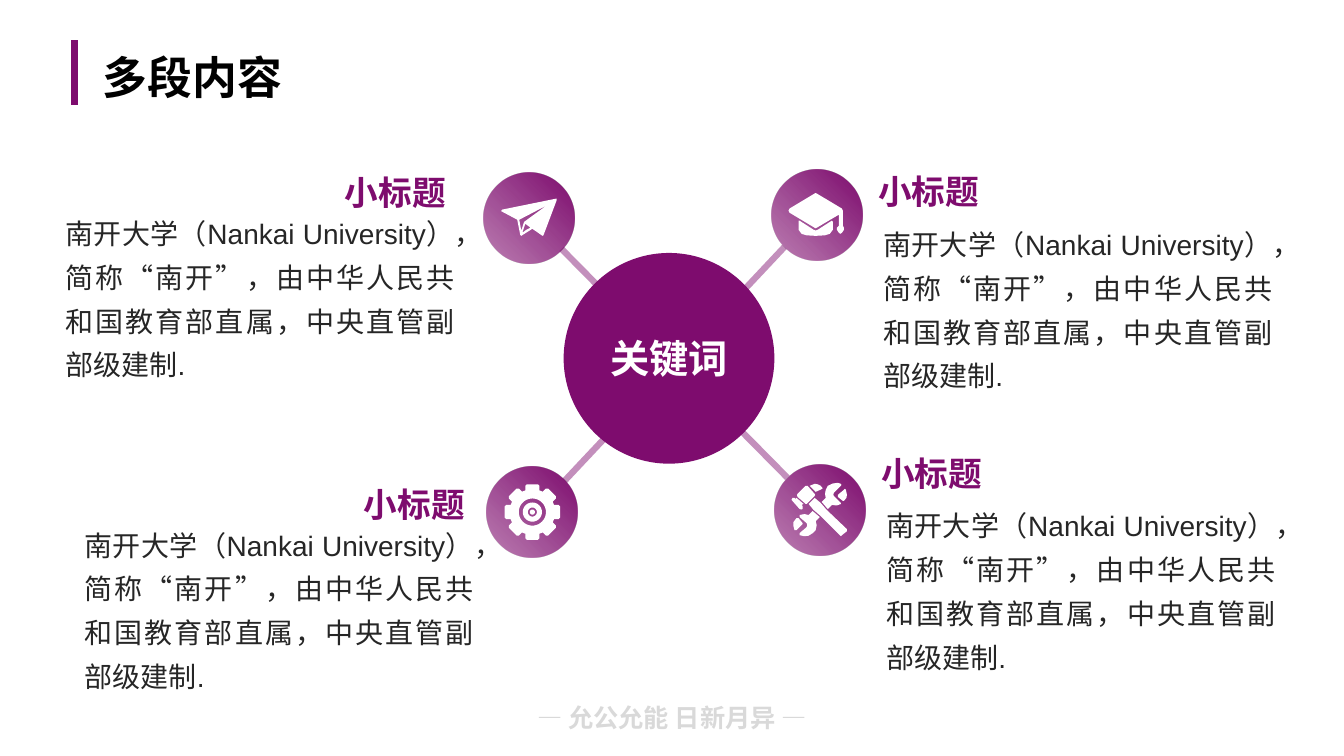
from dataclasses import dataclass
from math import cos, pi, sin

from lxml import etree
from pptx import Presentation
from pptx.dml.color import RGBColor
from pptx.enum.shapes import MSO_CONNECTOR, MSO_SHAPE
from pptx.enum.text import MSO_ANCHOR, MSO_AUTO_SIZE, PP_ALIGN
from pptx.oxml.ns import qn
from pptx.util import Inches, Pt

LINE = MSO_CONNECTOR.STRAIGHT
OVAL = MSO_SHAPE.OVAL
MIDDLE, TOP = MSO_ANCHOR.MIDDLE, MSO_ANCHOR.TOP
GROW = MSO_AUTO_SIZE.SHAPE_TO_FIT_TEXT
LEFT, CENTER, RIGHT, JUST = PP_ALIGN.LEFT, PP_ALIGN.CENTER, PP_ALIGN.RIGHT, PP_ALIGN.JUSTIFY


@dataclass(frozen=True)
class Theme:
    plum: RGBColor = RGBColor(0x7E, 0x0C, 0x6E)
    white: RGBColor = RGBColor(0xFF, 0xFF, 0xFF)
    black: RGBColor = RGBColor(0, 0, 0)
    ink: RGBColor = RGBColor(0x26, 0x26, 0x26)
    pale: RGBColor = RGBColor(0xD9, 0xD9, 0xD9)
    title: int = 32
    hub: int = 28
    head: int = 24
    body: int = 20
    foot: int = 18
    rule: float = 4.5
    main: str = "Calibri"
    text: str = "Arial"
    asian: str = "Noto Sans CJK JP"


THEME = Theme()
DISC = 0.9
HEAD = "小标题"
BODY = "南开大学（Nankai University），简称“南开”，由中华人民共和国教育部直属，中央直管副部级建制."

# Icon outlines, in hundredths of an inch from the corner of the disc
PLANE = [
    [(72, 26), (18, 37), (17, 38.5), (18, 39), (33, 47), (36, 62), (37, 63), (48, 56),
     (58, 63), (59, 62.5), (72, 28)],
    [(62, 33), (40, 49), (39.5, 50), (37, 58), (35, 47)],
    [(38, 60), (41, 51), (45, 54), (46, 55), (42, 57)],
]
CAP = [
    [(27, 51), (28, 51), (42, 60), (44, 60.7), (46, 60), (60, 51), (61, 52), (61, 60),
     (58, 64), (53, 65.5), (44, 66), (35, 65.5), (30, 64), (27, 60)],
    [(43, 24), (44, 23.5), (45, 24), (70, 39), (71, 41), (71, 56), (72, 58), (72, 60),
     (70, 63), (68.5, 64), (67, 63), (65, 60), (65, 58), (67, 56), (67, 45), (45, 58),
     (44, 58.5), (43, 58), (18, 43), (17, 41), (18, 39)],
]
TOOLS = [
    [(23, 53), (24, 53), (28, 58), (28, 59), (22, 65), (20, 65), (19, 61), (19, 57), (22, 53)],
    [(38, 46), (45, 52), (41, 56), (42, 60), (41, 65), (38, 68), (34, 70.5), (30, 71),
     (25, 70), (25, 68), (32, 62), (32.7, 60), (32, 58), (25, 52), (25, 50), (30, 49), (34, 50)],
    [(40, 33), (46, 38), (52, 45), (72, 64), (72, 66), (67, 70), (66, 71), (65, 70),
     (46, 51), (39, 45), (34, 39)],
    [(22, 33), (29, 39), (27, 40), (28, 41), (28, 44), (26.5, 44.5), (25, 44), (18, 36),
     (17, 35), (18, 33), (20, 33), (21, 34)],
    [(70, 24), (71, 25), (72, 30), (71.5, 33), (69, 36), (68, 36), (63, 32), (63, 30), (69, 25)],
    [(31, 21), (33, 21), (40, 29), (40.5, 30), (40, 31), (33, 38), (32, 39), (31, 39),
     (30, 38), (23, 32), (22.5, 30), (23, 29)],
    [(40, 19), (43, 19.5), (46, 21), (48, 23.5), (46.5, 24.5), (41, 27), (35, 21)],
    [(63, 18), (66, 19), (66.5, 20), (66, 21), (59, 28), (58.5, 29.5), (59, 31), (66, 38),
     (66, 39), (62, 40.5), (57, 40), (53, 44), (47, 37), (51, 33), (50.3, 29), (51, 25),
     (53, 21), (58, 18.7)],
]


def gear(mid=45, teeth=8, sides=40):
    """Outline of a toothed wheel with rings cut into it."""
    tooth = [(21.5, -7), (26, -7), (27.5, -5.5), (27.5, 5.5), (26, 7), (21.5, 7)]

    def turn(along, off, angle):
        return (mid + along * cos(angle) - off * sin(angle),
                mid + along * sin(angle) + off * cos(angle))

    rim = [turn(a, b, 2 * pi * n / teeth) for n in range(teeth) for a, b in tooth]
    rings = [[turn(r, 0, 2 * pi * n / sides) for n in range(sides)] for r in (13.5, 9.5, 4.5, 2.5)]
    return [rim, *rings]


def fade(color, percent):
    etree.SubElement(color, qn("a:alpha")).set("val", str(percent * 1000))


def paint(shape, color):
    shape.shadow.inherit = False
    shape.line.fill.background()
    shape.fill.solid()
    shape.fill.fore_color.rgb = color


def write(shape, text, size, color, font, bold=True, align=LEFT, anchor=TOP, wrap=True, pad=None):
    frame = shape.text_frame
    frame.word_wrap = wrap
    frame.vertical_anchor = anchor
    if pad is not None:
        frame.margin_left = frame.margin_right = Inches(pad)
        frame.margin_top = frame.margin_bottom = Inches(pad)
    para = frame.paragraphs[0]
    para.alignment = align
    run = para.add_run()
    run.text = text
    run.font.size, run.font.bold, run.font.name = Pt(size), bold, font
    run.font.color.rgb = color
    etree.SubElement(run.font._element, qn("a:ea")).set("typeface", THEME.asian)
    return para


def add_box(slide, *box):
    return slide.shapes.add_textbox(*map(Inches, box))


def add_line(slide, ends, alpha=None):
    line = slide.shapes.add_connector(LINE, *map(Inches, ends))
    line.line.color.rgb = THEME.plum
    line.line.width = Pt(THEME.rule)
    etree.SubElement(line._element.spPr, qn("a:effectLst"))
    if alpha:
        fade(next(line._element.iter(qn("a:srgbClr"))), alpha)


def add_title(slide, x, y):
    add_line(slide, (x, y, x, y + 0.64))
    box = add_box(slide, x + 0.18, y - 0.08, 5.75, 0.95)
    para = write(box, "多段内容", THEME.title, THEME.black, THEME.main, anchor=MIDDLE)
    para.line_spacing = 0.9


def add_foot(slide, x, y):
    box = add_box(slide, x, y, 4.19, 0.4)
    write(box, "— 允公允能 日新月异 —", THEME.foot, THEME.pale, THEME.asian, align=CENTER)


def add_hub(slide, x, y, size):
    hub = slide.shapes.add_shape(OVAL, *map(Inches, (x, y, size, size)))
    paint(hub, THEME.plum)
    write(hub, "关键词", THEME.hub, THEME.white, THEME.main, align=CENTER, anchor=MIDDLE)


def add_disc(slide, x, y, icon):
    disc = slide.shapes.add_shape(OVAL, *map(Inches, (x, y, DISC, DISC)))
    paint(disc, THEME.plum)
    disc.fill.gradient()
    disc.fill.gradient_angle = 225
    for stop, place in zip(disc.fill.gradient_stops, (0, 0.95)):
        stop.color.rgb = THEME.plum
        stop.position = place
    fade(list(disc._element.spPr.iter(qn("a:srgbClr")))[-1], 54)

    paths = [[(px * 10, py * 10) for px, py in path] for path in icon]
    pen = slide.shapes.build_freeform(*paths[0][0], scale=Inches(1) / 1000)
    for path in paths:
        if path is not paths[0]:
            pen.move_to(*path[0])
        pen.add_line_segments(path[1:], close=True)
    paint(pen.convert_to_shape(Inches(x), Inches(y)), THEME.white)


def add_note(slide, x, y, dx, dy):
    """Heading at x, y with its body text shifted by dx, dy."""
    head = add_box(slide, x, y, 1.54, 0.63)
    write(head, HEAD, THEME.head, THEME.plum, THEME.text, align=RIGHT, wrap=False, pad=0.2)
    body = add_box(slide, x + dx, y + dy, 4.06, 1.81)
    para = write(body, BODY, THEME.body, THEME.ink, THEME.text, bold=False, align=JUST)
    para.line_spacing = 1.3
    para.space_after = Pt(6)
    body.text_frame.auto_size = GROW


def main():
    deck = Presentation()
    deck.slide_width, deck.slide_height = Inches(13.33), Inches(7.5)
    slide = deck.slides.add_slide(deck.slide_layouts[6])
    add_foot(slide, 4.57, 6.92)
    add_title(slide, 0.74, 0.4)
    for ends in ((5.57, 2.47, 7.81, 4.74), (5.6, 4.77, 7.78, 2.45)):
        add_line(slide, ends, alpha=45)
    add_hub(slide, 5.59, 2.51, 2.09)
    west, east = (-2.53, 0.49), (0.29, 0.61)
    for disc, icon, note, shift in (
        ((4.8, 1.71), PLANE, (3.08, 1.51), west),
        ((4.83, 4.63), gear(), (3.27, 4.6), west),
        ((7.65, 1.68), CAP, (8.37, 1.5), east),
        ((7.68, 4.61), TOOLS, (8.4, 4.29), east),
    ):
        add_disc(slide, *disc, icon)
        add_note(slide, *note, *shift)
    deck.save("out.pptx")


if __name__ == "__main__":
    main()
